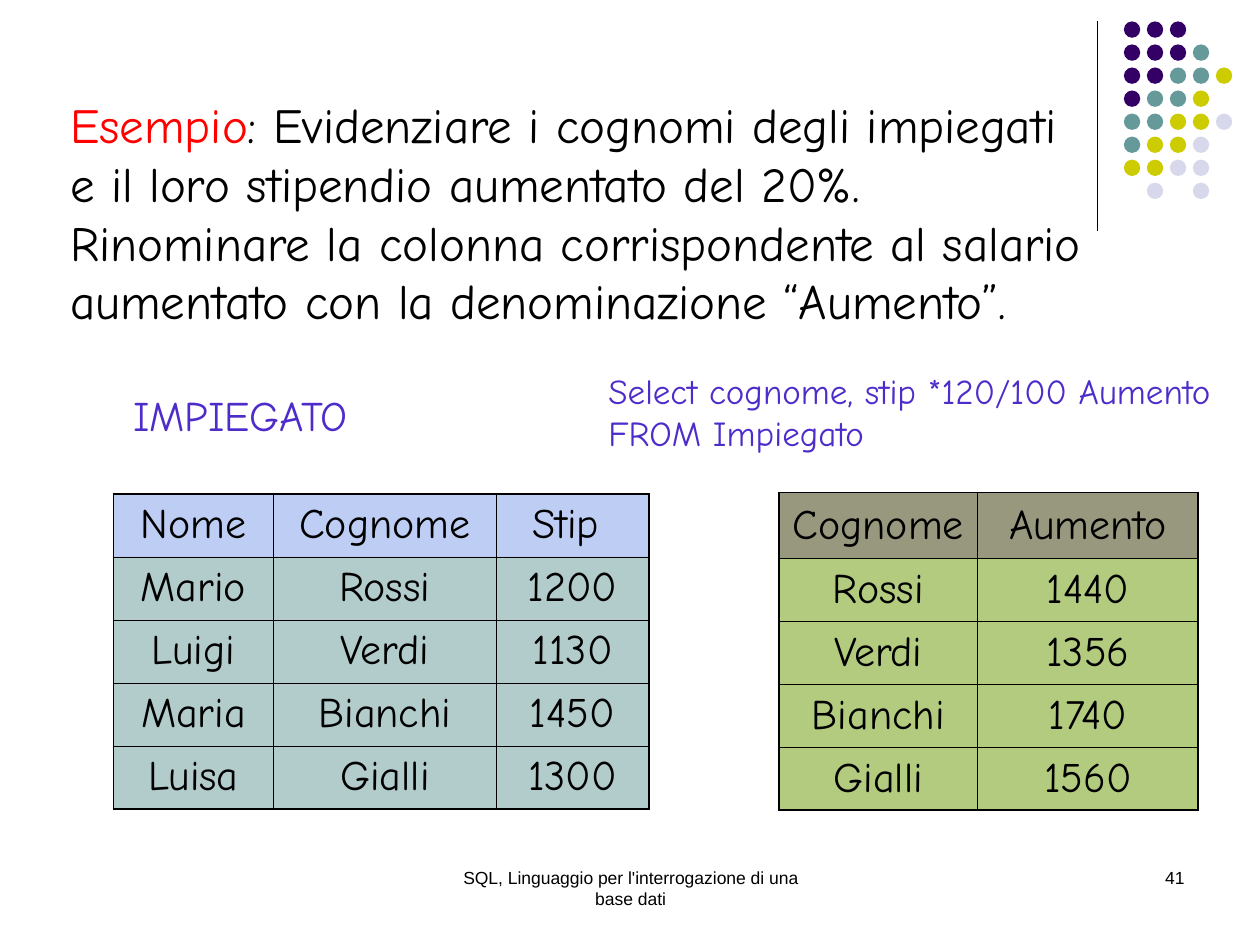
import pptx
import pptx.dml.color
import pptx.enum.shapes
import pptx.enum.text
import pptx.oxml
import pptx.oxml.ns
import pptx.util
from pptx.util import Inches

COLORS = {
    "black": "000000", "red": "FF0000", "violet": "4E2CCA",
    "purple": "330066", "teal": "669999", "lime": "CCCC00", "lilac": "D8D8EC",
    "blue": "7E9CE8", "olive": "333300", "green": "669900",
}
HAND, SANS = "Comic Neue", "Arial"
ALIGN = pptx.enum.text.PP_ALIGN
OUTER, INNER = 1.08, 0.45  # table border widths in points

DOT_COLORS = {"p": "purple", "t": "teal", "l": "lime", "g": "lilac"}
DOT_ROWS = ["ppp", "pppt", "ppttl", "pttl", "ttllg", "tllg", "llgg", " g g"]
DOT_SIZE, DOT_X_STEP, DOT_Y_STEP = 0.13, 0.73 / 4, 1.28 / 7

EMPLOYEES = [
    ("Nome", "Cognome", "Stip "),
    ("Mario", "Rossi", "1200"),
    ("Luigi", "Verdi", "1130"),
    ("Maria", "Bianchi", "1450"),
    ("Luisa", "Gialli", "1300"),
]
RAISES = [
    ("Cognome", "Aumento"),
    ("Rossi", "1440"),
    ("Verdi", "1356"),
    ("Bianchi", "1740"),
    ("Gialli", "1560"),
]


def rgb(name):
    return pptx.dml.color.RGBColor.from_string(COLORS[name])


def write(frame, lines, size=24, font=HAND, color="black", align=ALIGN.LEFT):
    """Fill a text frame; a line is a string or a list of (text, color) runs."""
    for index, line in enumerate(lines):
        paragraph = frame.paragraphs[0] if index == 0 else frame.add_paragraph()
        paragraph.alignment = align
        runs = [(line, color)] if isinstance(line, str) else line
        for text, run_color in runs:
            run = paragraph.add_run()
            run.text = text
            run.font.size = pptx.util.Pt(size)
            run.font.name = font
            run.font.color.rgb = rgb(run_color)


def add_text(slide, left, top, width, height, lines, wrap=False, **text_format):
    frame = slide.shapes.add_textbox(
        Inches(left), Inches(top), Inches(width), Inches(height)).text_frame
    frame.word_wrap = wrap
    if not wrap:
        frame.auto_size = pptx.enum.text.MSO_AUTO_SIZE.SHAPE_TO_FIT_TEXT
    write(frame, lines, **text_format)


def add_rule(slide, x, top, bottom):
    rule = slide.shapes.add_connector(
        pptx.enum.shapes.MSO_CONNECTOR.STRAIGHT,
        Inches(x), Inches(top), Inches(x), Inches(bottom))
    rule.line.color.rgb = rgb("black")
    rule.line.width = pptx.util.Pt(0.75)
    rule._element.spPr.append(pptx.oxml.ns.qn and pptx.oxml.parse_xml(
        f'<a:effectLst {pptx.oxml.ns.nsdecls("a")}/>'))


def add_dots(slide, left, top):
    dots = slide.shapes.add_group_shape()
    for row, keys in enumerate(DOT_ROWS):
        for column, key in enumerate(keys):
            if key == " ":
                continue
            dot = dots.shapes.add_shape(
                pptx.enum.shapes.MSO_SHAPE.OVAL,
                Inches(left + column * DOT_X_STEP), Inches(top + row * DOT_Y_STEP),
                Inches(DOT_SIZE), Inches(DOT_SIZE))
            dot.shadow.inherit = False
            dot.fill.solid()
            dot.fill.fore_color.rgb = rgb(DOT_COLORS[key])
            dot.line.fill.background()


def style_cell(cell, fill, borders):
    """Draw the borders (side to width) and a half-transparent fill."""
    properties = cell._tc.get_or_add_tcPr()
    namespace = pptx.oxml.ns.nsdecls("a")
    for side, width in borders.items():
        properties.append(pptx.oxml.parse_xml(
            f'<a:ln{side} {namespace} w="{pptx.util.Pt(width)}"><a:solidFill>'
            f'<a:srgbClr val="{COLORS["black"]}"/></a:solidFill></a:ln{side}>'))
    cell.fill.solid()
    cell.fill.fore_color.rgb = rgb(fill)
    fill_color = properties.find(pptx.oxml.ns.qn("a:solidFill"))[0]
    fill_color.append(pptx.oxml.parse_xml(f'<a:alpha {namespace} val="50000"/>'))


def add_grid(slide, left, top, rows, widths, heights, header, body, inset, anchor):
    table = slide.shapes.add_table(
        len(rows), len(widths), Inches(left), Inches(top),
        Inches(sum(widths)), Inches(sum(heights))).table
    table.first_row = table.horz_banding = False
    for column, width in zip(table.columns, widths):
        column.width = Inches(width)
    for row, height in zip(table.rows, heights):
        row.height = Inches(height)
    last_row, last_column = len(rows) - 1, len(widths) - 1
    for r, values in enumerate(rows):
        for c, value in enumerate(values):
            cell = table.cell(r, c)
            cell.margin_left = cell.margin_right = Inches(inset)
            cell.vertical_anchor = anchor
            write(cell.text_frame, [value], align=ALIGN.CENTER)
            style_cell(cell, body if r else header, {
                "L": INNER if c else OUTER,
                "R": OUTER if c == last_column else INNER,
                "T": INNER if r else OUTER,
                "B": OUTER if r == last_row else INNER,
            })


def main():
    deck = pptx.Presentation()
    deck.slide_width, deck.slide_height = Inches(10), Inches(7.5)
    slide = deck.slides.add_slide(deck.slide_layouts[6])
    anchors = pptx.enum.text.MSO_ANCHOR

    # Corner decoration
    add_rule(slide, 8.71, 0.17, 1.83)
    add_dots(slide, 8.92, 0.17)

    # Exercise
    add_text(slide, 0.46, 0.7, 8.37, 1.97, [
        [("Esempio", "red"), (": Evidenziare i cognomi degli impiegati", "black")],
        "e il loro stipendio aumentato del 20%.",
        "Rinominare la colonna corrispondente al salario",
        "aumentato con la denominazione “Aumento”.",
    ], size=28)

    # Result and source tables
    add_grid(slide, 6.18, 3.91, RAISES, [1.58, 1.75], [0.52] + [0.5] * 4,
             "olive", "green", 0.08, anchors.MIDDLE)
    add_grid(slide, 0.9, 3.92, EMPLOYEES, [1.27, 1.77, 1.21], [0.5] * 5,
             "blue", "teal", 0.1, anchors.TOP)

    # Table name and query
    add_text(slide, 0.96, 3.04, 1.95, 0.5, ["IMPIEGATO"], color="violet")
    add_text(slide, 4.73, 2.88, 4.99, 0.77,
             ["Select cognome, stip *120/100 Aumento", "FROM Impiegato"],
             size=20, color="violet")

    # Footer
    add_text(slide, 3.42, 6.83, 3.17, 0.5,
             ["SQL, Linguaggio per l'interrogazione di una base dati"],
             wrap=True, size=10, font=SANS, align=ALIGN.CENTER)
    add_text(slide, 7.17, 6.83, 2.33, 0.5, ["41"],
             wrap=True, size=10, font=SANS, align=ALIGN.RIGHT)

    deck.save("out.pptx")


if __name__ == "__main__":
    main()
